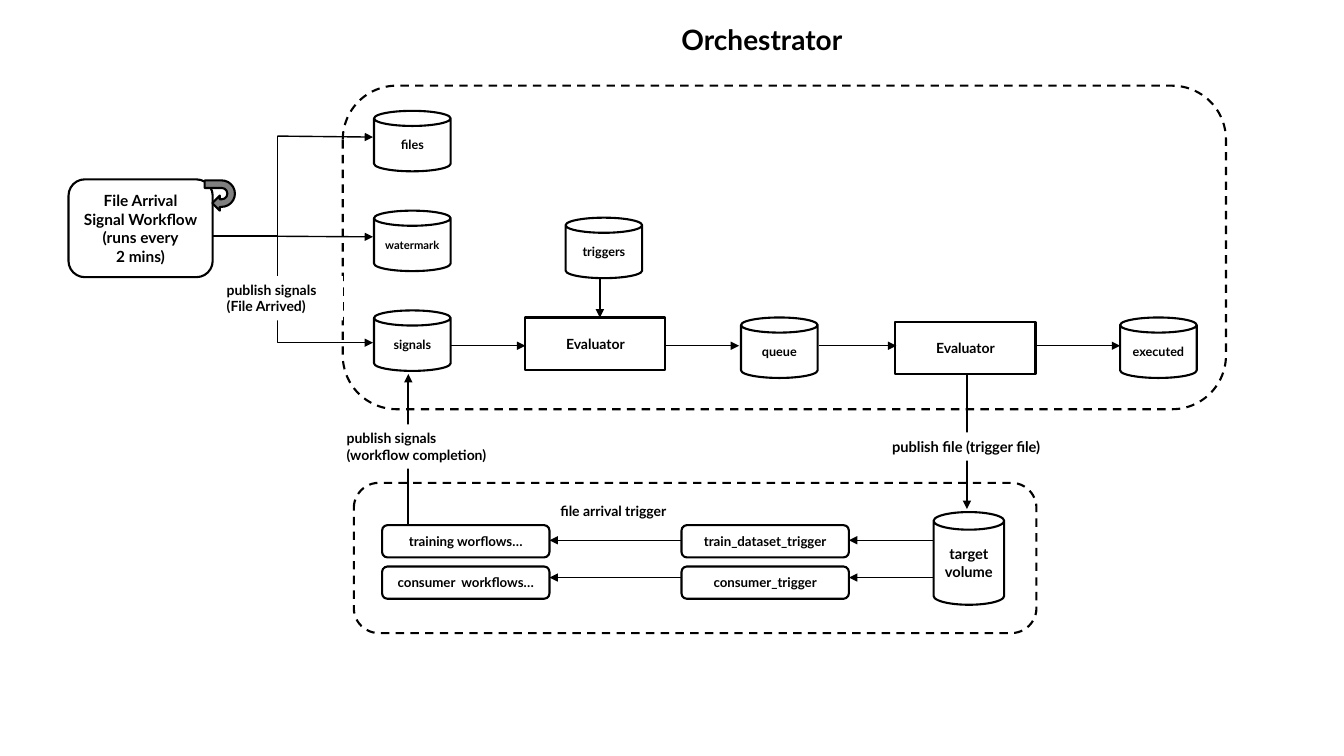
from dataclasses import dataclass
from lxml import etree
from pptx import Presentation
from pptx.dml.color import RGBColor
from pptx.enum.dml import MSO_LINE
from pptx.enum.shapes import MSO_CONNECTOR, MSO_SHAPE
from pptx.enum.text import MSO_ANCHOR, PP_ALIGN
from pptx.oxml.ns import qn
from pptx.util import Inches, Pt

CAN, RECT, ROUND = MSO_SHAPE.CAN, MSO_SHAPE.RECTANGLE, MSO_SHAPE.ROUNDED_RECTANGLE
UTURN = MSO_SHAPE.U_TURN_ARROW
LINE, BENT = MSO_CONNECTOR.STRAIGHT, MSO_CONNECTOR.ELBOW
DASH = MSO_LINE.DASH
LEFT, CENTER = PP_ALIGN.LEFT, PP_ALIGN.CENTER
TOP, MIDDLE = MSO_ANCHOR.TOP, MSO_ANCHOR.MIDDLE


@dataclass(frozen=True)
class Theme:
    """Colours, font, type sizes and line widths."""
    ink: RGBColor = RGBColor(0, 0, 0)
    paper: RGBColor = RGBColor(255, 255, 255)
    gray: RGBColor = RGBColor(128, 128, 128)
    font: str = "Lato"
    title: float = 20
    main: float = 11
    large: float = 10.5
    body: float = 10
    pill: float = 9.5
    store: float = 9
    small: float = 8
    thick: float = 1.5
    thin: float = 1


THEME = Theme()


def write(shape, text, size, align=CENTER, anchor=MIDDLE, inset=0.0):
    """Set the text of a shape and format its runs."""
    frame = shape.text_frame
    frame.text = text
    frame.word_wrap = True
    frame.vertical_anchor = anchor
    frame.margin_left = frame.margin_right = Inches(inset)
    frame.margin_top = frame.margin_bottom = Inches(inset / 2)
    for para in frame.paragraphs:
        para.alignment = align
        for run in para.runs:
            run.font.name = THEME.font
            run.font.size = Pt(size)
            run.font.bold = True
            run.font.color.rgb = THEME.ink


def block(slide, kind, x, y, w, h, fill=THEME.paper):
    """Add an outlined shape, hollow when fill is None."""
    shape = slide.shapes.add_shape(kind, Inches(x), Inches(y), Inches(w), Inches(h))
    shape.shadow.inherit = False
    if fill is None:
        shape.fill.background()
    else:
        shape.fill.solid()
        shape.fill.fore_color.rgb = fill
    shape.line.color.rgb = THEME.ink
    shape.line.width = Pt(THEME.thick)
    return shape


def frame(slide, x, y, w, h):
    """Add a dashed frame around a region."""
    block(slide, ROUND, x, y, w, h, None).line.dash_style = DASH


def store(slide, x, y, text, size=THEME.store):
    """Add a small data store."""
    write(block(slide, CAN, x, y, 0.76, 0.6), text, size)


def label(slide, x, y, w, h, text, size):
    """Add a white label that covers the lines behind it."""
    box = slide.shapes.add_textbox(Inches(x), Inches(y), Inches(w), Inches(h))
    box.fill.solid()
    box.fill.fore_color.rgb = THEME.paper
    write(box, text, size, LEFT, TOP, 0.1)


def link(slide, x1, y1, x2, y2, kind=LINE, width=THEME.thin, tip=True):
    """Add a connector, with an arrowhead at its end if tip is set."""
    wire = slide.shapes.add_connector(kind, Inches(x1), Inches(y1), Inches(x2), Inches(y2))
    wire.line.color.rgb = THEME.ink
    wire.line.width = Pt(width)
    props = wire.line._get_or_add_ln()
    if tip:
        etree.SubElement(props, qn("a:tailEnd"), type="triangle")
    etree.SubElement(props.getparent(), qn("a:effectLst"))


def engine(slide, x, y, w, h):
    """Draw the orchestrator with its stores and evaluators."""
    for row, (text, size) in enumerate((("files", THEME.store),
                                        ("watermark", THEME.small),
                                        ("signals", THEME.store))):
        store(slide, x + 0.31, y + 0.25 + row * 0.99, text, size)
    for dx, dy, text in ((2.21, 1.31, "triggers"), (3.95, 2.3, "queue"),
                         (7.71, 2.3, "executed")):
        store(slide, x + dx, y + dy, text)
    frame(slide, x, y, w, h)
    for dx, dy in ((1.81, 2.3), (5.48, 2.34)):
        write(block(slide, RECT, x + dx, y + dy, 1.39, 0.52), "Evaluator", THEME.body)
    for start, end in ((1.07, 1.81), (3.2, 3.93), (4.72, 5.49), (6.88, 7.71)):
        link(slide, x + start, y + 2.58, x + end, y + 2.58)
    link(slide, x + 2.55, y + 1.91, x + 2.55, y + 2.3)


def jobs(slide, x, y, w, h):
    """Draw the target volume, its triggers and the workflows they start."""
    write(block(slide, CAN, x + 5.75, y + 0.29, 0.7, 0.92), "target\nvolume", THEME.large)
    frame(slide, x, y, w, h)
    rows = (("training worflows…", "train_dataset_trigger"),
            ("consumer  workflows…", "consumer_trigger"))
    for row, texts in enumerate(rows):
        for dx, text in zip((0.28, 3.25), texts):
            pill = block(slide, ROUND, x + dx, y + 0.42 + row * 0.41, 1.66, 0.32)
            write(pill, text, THEME.pill)
        level = y + 0.57 + row * 0.37
        for start, end in ((5.75, 4.91), (3.25, 1.94)):
            link(slide, x + start, level, x + end, level)
    link(slide, x + 0.54, y + 0.42, x + 0.54, y - 1.08, width=THEME.thick)
    link(slide, x + 6.08, y - 1.08, x + 6.08, y + 0.26)


def source(slide, x, y, w, h):
    """Draw the signal workflow and its links to the stores."""
    mid, fork, end = y + 0.56, x + 2.07, x + 3.02
    link(slide, x + 1.12, mid, end, y + 1.62, BENT)
    link(slide, x + w, mid, end, mid + 0.01)
    link(slide, fork, y - 0.43, end, y - 0.42)
    link(slide, fork, y - 0.43, fork, mid, tip=False)
    text = "File Arrival Signal Workflow\n(runs every\n2 mins)"
    write(block(slide, ROUND, x, y, w, h), text, THEME.main, inset=0.08)
    block(slide, UTURN, x + 1.35, y + 0.01, 0.3, 0.3, THEME.gray).rotation = 90


def notes(slide, x, y):
    """Place the title and the labels on the links."""
    for dx, dy, w, h, text, size in (
            (6.66, 0.17, 2.01, 0.44, "Orchestrator", THEME.title),
            (8.75, 4.29, 2, 0.28, "publish file (trigger file)", THEME.large),
            (2.15, 2.74, 1.25, 0.44, "publish signals\n(File Arrived)", THEME.body),
            (5.46, 4.94, 1.29, 0.27, "file arrival trigger", THEME.body),
            (3.34, 4.21, 1.76, 0.44, "publish signals\n(workflow completion)", THEME.body)):
        label(slide, x + dx, y + dy, w, h, text, size)


def main():
    """Build and save the slide."""
    deck = Presentation()
    deck.slide_width, deck.slide_height = Inches(13.33), Inches(7.5)
    slide = deck.slides.add_slide(deck.slide_layouts[6])
    engine(slide, 3.4, 0.85, 8.76, 3.21)
    jobs(slide, 3.51, 4.79, 6.77, 1.49)
    source(slide, 0.68, 1.78, 1.43, 0.97)
    notes(slide, 0, 0)
    deck.save("out.pptx")


if __name__ == "__main__":
    main()
